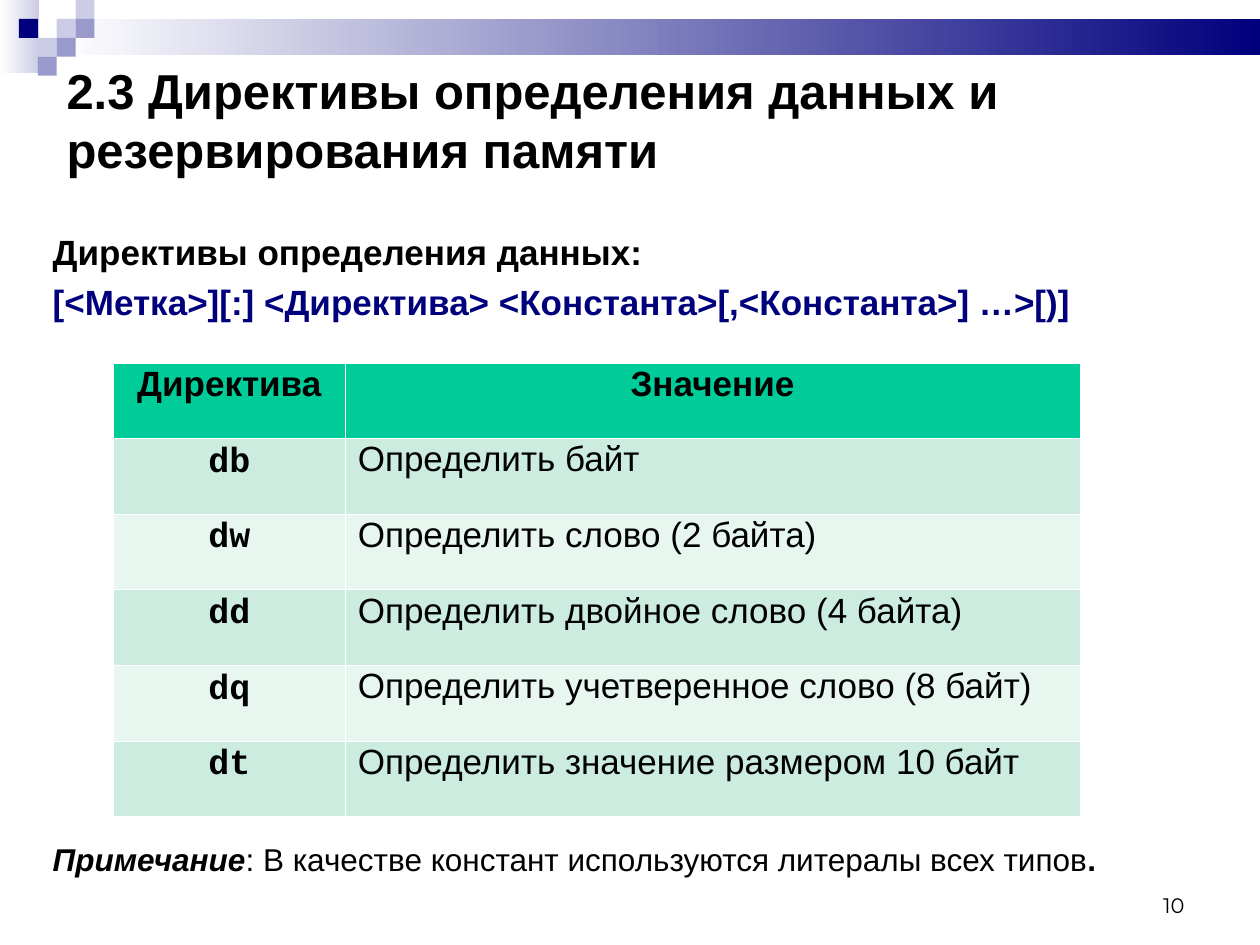
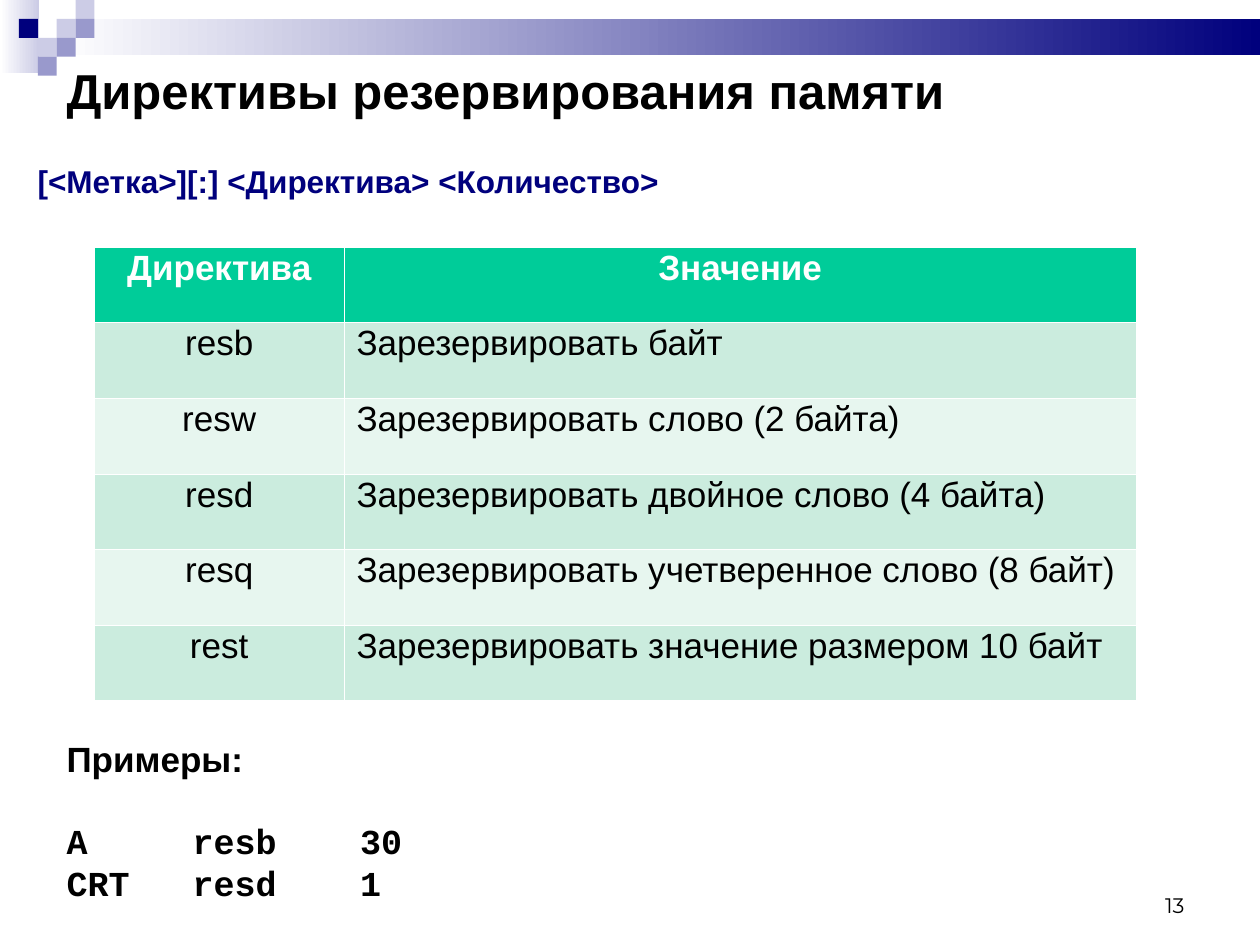
"""Builds two slides on data definition and memory reservation directives."""
from dataclasses import dataclass
from typing import Any

import lxml.etree
import pptx
import pptx.dml.color
import pptx.enum.shapes
import pptx.enum.text
import pptx.oxml.ns
import pptx.util

Inches = pptx.util.Inches
Pt = pptx.util.Pt
ALIGN = pptx.enum.text.PP_ALIGN
ANCHOR = pptx.enum.text.MSO_ANCHOR
qn = pptx.oxml.ns.qn

WHITE, BLACK, NAVY = "FFFFFF", "000000", "00007D"
LILAC, VIOLET = "CCCCE6", "9999CC"
HEADER_FILL, BAND_FILLS = "00CC99", ("CBECDE", "E7F6EF")
SANS, MONO, NUMBER_FONT = "Arial", "Courier New", "Montserrat"
SQUARE = 0.15
ROW_HEIGHT = 0.6


@dataclass
class Square:
    """A corner square at a grid column and row."""
    col: int
    row: int
    color: str


@dataclass
class DirectiveTable:
    """A two-column table of directives and their meanings."""
    left: float
    top: float
    widths: tuple[float, float]
    rows: list[tuple[str, str]]
    header_color: str
    code_font: str
    code_bold: bool


SQUARES = [
    Square(3, 1, LILAC), Square(4, 0, LILAC), Square(4, 1, VIOLET),
    Square(2, 2, LILAC), Square(1, 1, NAVY), Square(3, 2, VIOLET),
    Square(2, 3, VIOLET),
]

DEFINE_TABLE = DirectiveTable(0.9, 2.88, (1.84, 5.83), [
    ("db", "Определить байт"),
    ("dw", "Определить слово (2 байта)"),
    ("dd", "Определить двойное слово (4 байта)"),
    ("dq", "Определить учетверенное слово (8 байт)"),
    ("dt", "Определить значение размером 10 байт"),
], BLACK, MONO, True)

RESERVE_TABLE = DirectiveTable(0.75, 1.96, (1.98, 6.29), [
    ("resb", "Зарезервировать байт"),
    ("resw", "Зарезервировать слово (2 байта)"),
    ("resd", "Зарезервировать двойное слово (4 байта)"),
    ("resq", "Зарезервировать учетверенное слово (8 байт)"),
    ("rest", "Зарезервировать значение размером 10 байт"),
], WHITE, SANS, False)


def rgb(color: str) -> pptx.dml.color.RGBColor:
    """Turn a hex string into a colour."""
    return pptx.dml.color.RGBColor.from_string(color)


def add_run(p: Any, text: str, *, size: float = 20, font: str = SANS,
            color: str = BLACK, bold: bool = False, italic: bool = False) -> None:
    """Add formatted text to a paragraph."""
    r = p.add_run()
    r.text = text
    r.font.size, r.font.name = Pt(size), font
    r.font.bold, r.font.italic = bold, italic
    r.font.color.rgb = rgb(color)


def add_paragraph(tf: Any, text: str, *, align: Any = ALIGN.LEFT, spacing: float = 1,
                  before: float = 0, tabs: tuple[float, ...] = (), **fmt: Any) -> Any:
    """Add a paragraph, using the empty first one when there is one."""
    p = tf.paragraphs[0]
    if p.runs:
        p = tf.add_paragraph()
    if tabs:
        tab_list = lxml.etree.SubElement(p._p.get_or_add_pPr(), qn("a:tabLst"))
        for tab in tabs:
            lxml.etree.SubElement(tab_list, qn("a:tab"), pos=str(Inches(tab)), algn="l")
    p.alignment, p.line_spacing = align, spacing
    p.space_before = Pt(before)
    add_run(p, text, **fmt)
    return p


def add_box(s: Any, left: float, top: float, width: float, height: float,
            anchor: Any = ANCHOR.TOP) -> Any:
    """Add a wrapping text box and return its text frame."""
    tf = s.shapes.add_textbox(Inches(left), Inches(top), Inches(width), Inches(height)).text_frame
    tf.word_wrap, tf.vertical_anchor = True, anchor
    return tf


def add_rect(s: Any, left: float, top: float, width: float, height: float, *colors: str) -> None:
    """Add a plain rectangle, or a left-to-right gradient for two colours."""
    sp = s.shapes.add_shape(pptx.enum.shapes.MSO_SHAPE.RECTANGLE, Inches(left), Inches(top),
                            Inches(width), Inches(height))
    sp.shadow.inherit = False
    sp.line.fill.background()
    if len(colors) == 1:
        sp.fill.solid()
        sp.fill.fore_color.rgb = rgb(colors[0])
    else:
        sp.fill.gradient()
        sp.fill.gradient_angle = 0
        for stop, color in zip(sp.fill.gradient_stops, colors):
            stop.color.rgb = rgb(color)


def add_frame(prs: Any, title: str, title_height: float, number: int) -> Any:
    """Add a slide with the top band, title and slide number."""
    s = prs.slides.add_slide(prs.slide_layouts[6])
    add_rect(s, 0, 0, 0.31, 0.58, WHITE, LILAC)
    add_rect(s, 0.45, SQUARE, 9.55, 0.29, WHITE, NAVY)
    for square in SQUARES:
        add_rect(s, square.col * SQUARE, square.row * SQUARE, SQUARE, SQUARE, square.color)
    add_paragraph(add_box(s, 7.17, 6.83, 2.33, 0.5, ANCHOR.BOTTOM), str(number),
                  align=ALIGN.RIGHT, size=12, font=NUMBER_FONT)
    add_paragraph(add_box(s, 0.43, 0.43, 9.57, title_height, ANCHOR.MIDDLE), title,
                  size=28, bold=True)
    return s


def style_cell(cell: Any, fill: str, row: int) -> None:
    """Give a cell its white borders and its fill."""
    widths = {"L": 0.11, "R": 0.11, "T": 0.34 if row == 1 else 0.11,
              "B": 0.34 if row == 0 else 0.11}
    props = cell._tc.get_or_add_tcPr()
    for side, width in widths.items():
        line = lxml.etree.SubElement(props, qn(f"a:ln{side}"), w=str(Pt(width)))
        solid = lxml.etree.SubElement(line, qn("a:solidFill"))
        lxml.etree.SubElement(solid, qn("a:srgbClr"), val=WHITE)
    cell.fill.solid()
    cell.fill.fore_color.rgb = rgb(fill)


def add_directives(s: Any, spec_table: DirectiveTable) -> None:
    """Draw a directive table."""
    rows = [("Директива", "Значение"), *spec_table.rows]
    table = s.shapes.add_table(
        len(rows), 2, Inches(spec_table.left), Inches(spec_table.top),
        Inches(sum(spec_table.widths)), Inches(ROW_HEIGHT * len(rows))).table
    for column, width in zip(table.columns, spec_table.widths):
        column.width = Inches(width)
    for i, texts in enumerate(rows):
        fill = BAND_FILLS[(i - 1) % 2] if i else HEADER_FILL
        for j, text in enumerate(texts):
            cell = table.cell(i, j)
            style_cell(cell, fill, i)
            is_code = i > 0 and j == 0
            add_paragraph(
                cell.text_frame, text, spacing=0.87,
                align=ALIGN.LEFT if i and j else ALIGN.CENTER,
                font=spec_table.code_font if is_code else SANS,
                color=BLACK if i else spec_table.header_color,
                bold=spec_table.code_bold if is_code else i == 0)


def build_define_slide(prs: Any) -> None:
    """Build the slide on data definition."""
    s = add_frame(prs, "2.3 Директивы определения данных и резервирования памяти", 1.03, 10)
    tf = add_box(s, 0.32, 1.45, 9.65, 1.17)
    add_paragraph(tf, "Директивы определения данных:", spacing=2, bold=True)
    add_paragraph(tf, "[<Метка>][:] <Директива> <Константа>[,<Константа>] …>[)]",
                  before=4.6, color=NAVY, bold=True)
    p = add_paragraph(add_box(s, 0.32, 6.66, 9.65, 0.63), "Примечание", spacing=0.87,
                      size=18, bold=True, italic=True)
    add_run(p, ": В качестве констант используются литералы всех типов", size=18)
    add_run(p, ".", size=18, bold=True)
    add_directives(s, DEFINE_TABLE)


def build_reserve_slide(prs: Any) -> None:
    """Build the slide on memory reservation."""
    s = add_frame(prs, "Директивы резервирования памяти", 0.57, 13)
    add_paragraph(add_box(s, 0.2, 1.24, 9.73, 0.4), "[<Метка>][:] <Директива> <Количество>",
                  size=18, color=NAVY, bold=True)
    add_directives(s, RESERVE_TABLE)
    tf = add_box(s, 0.43, 5.8, 3.54, 1.45)
    add_paragraph(tf, "Примеры:", bold=True)
    for before, code in ((23, "А\tresb\t30"), (0, "СRT\tresd\t1")):
        add_paragraph(tf, code, before=before, tabs=(1, 2.33), font=MONO, bold=True)


def main() -> None:
    """Build and save the presentation."""
    prs = pptx.Presentation()
    prs.slide_width, prs.slide_height = Inches(10), Inches(7.5)
    build_define_slide(prs)
    build_reserve_slide(prs)
    prs.save("out.pptx")


if __name__ == "__main__":
    main()
